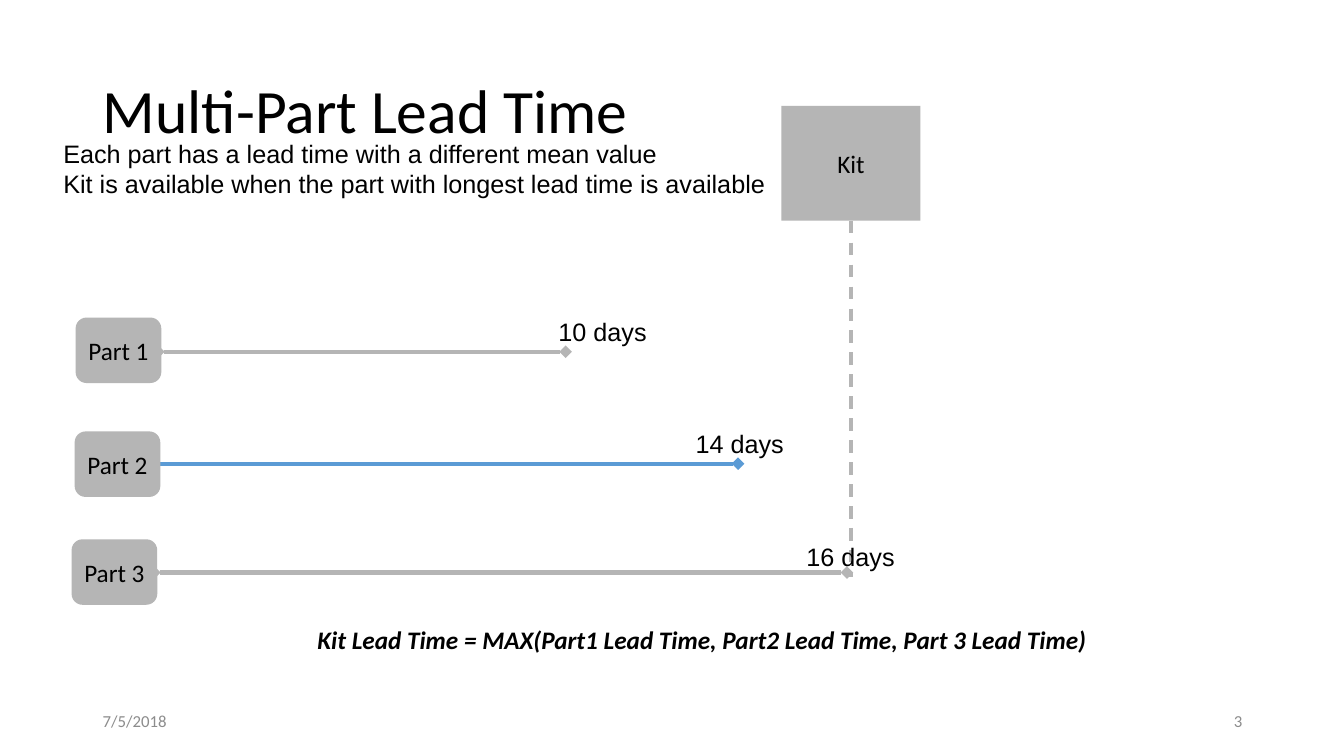
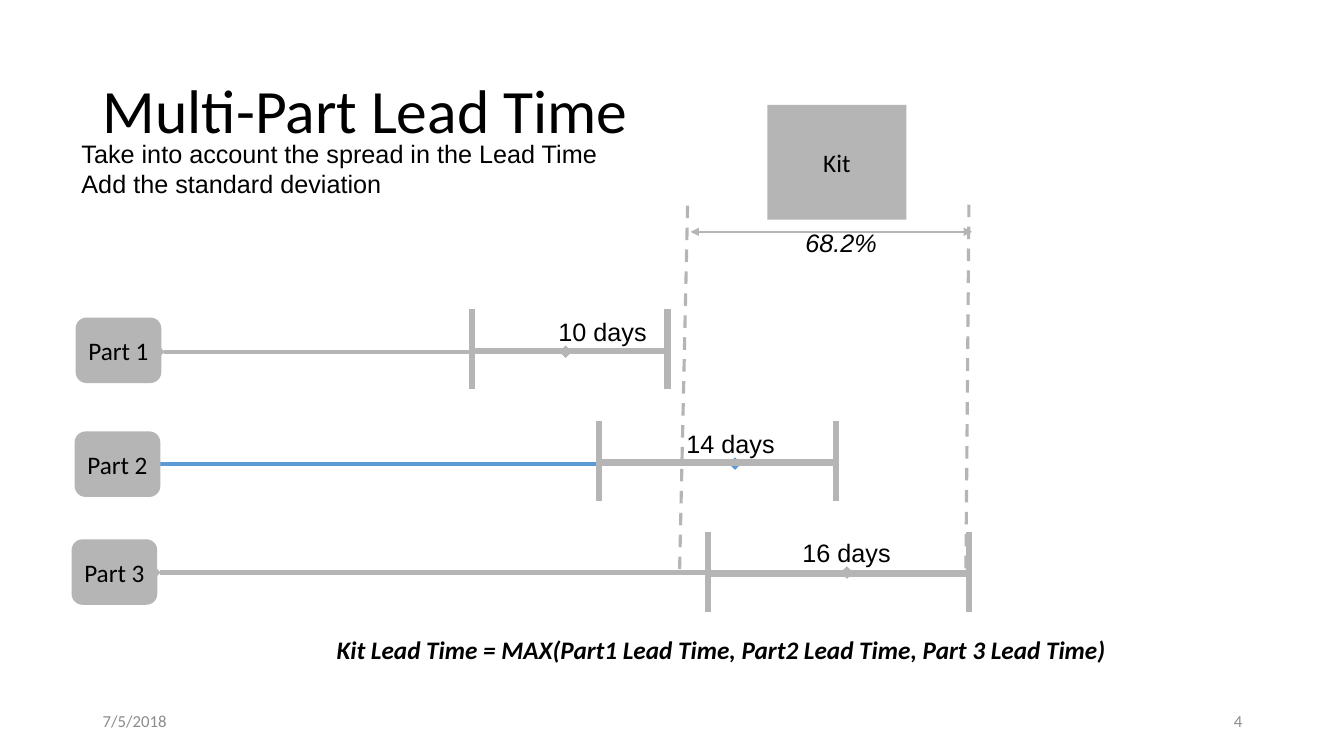
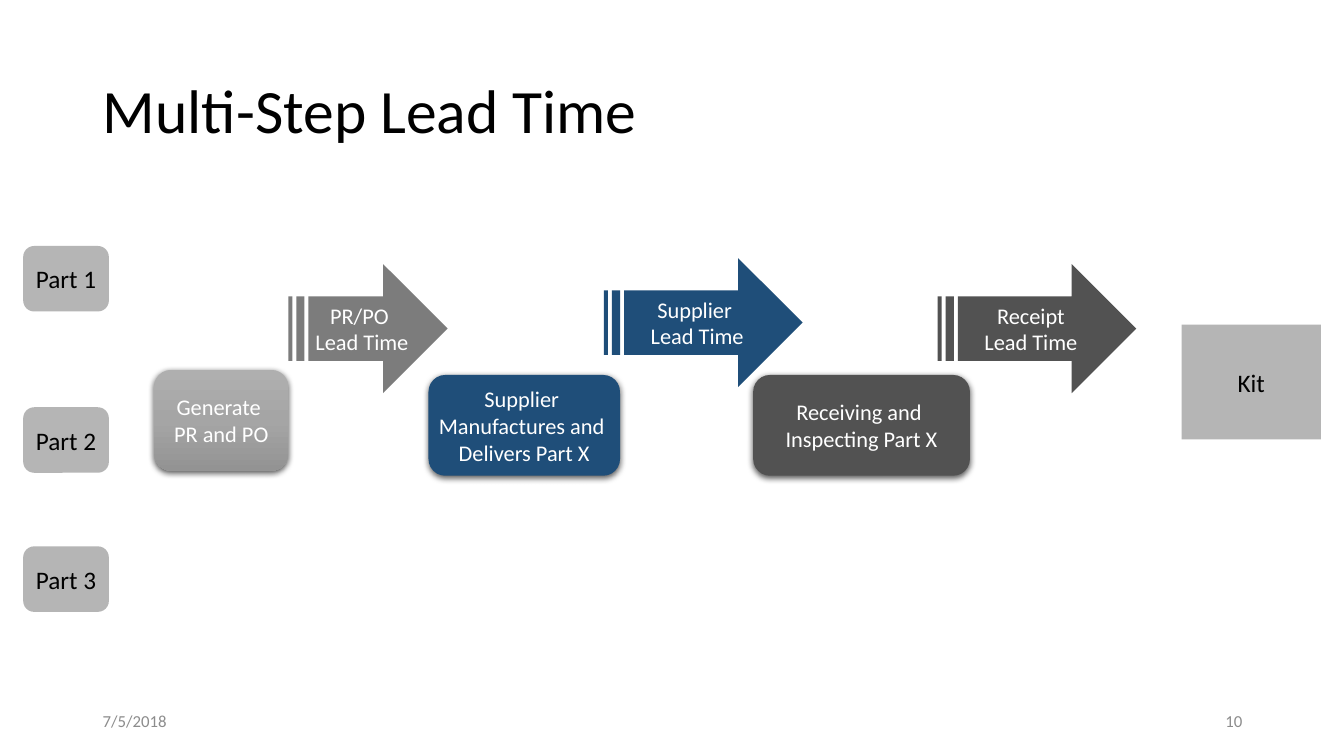
from dataclasses import dataclass

from lxml.etree import SubElement
from pptx import Presentation
from pptx.dml.color import RGBColor
from pptx.enum.dml import MSO_LINE
from pptx.enum.shapes import MSO_CONNECTOR, MSO_SHAPE
from pptx.enum.text import MSO_ANCHOR, MSO_AUTO_SIZE, PP_ALIGN
from pptx.oxml.ns import qn
from pptx.util import Inches, Pt


@dataclass(frozen=True)
class Theme:
    """Colours, fonts and type sizes shared by all slides."""
    black: str = "000000"
    white: str = "FFFFFF"
    gray: str = "B5B5B5"
    blue: str = "5B9BD5"
    navy: str = "1F4E79"
    steel: str = "7C7C7C"
    charcoal: str = "525252"
    footer: str = "8C8C8C"
    silver_gradient: tuple = ((0, "AFAFAF"), (50, "A5A5A5"), (100, "939393"))
    heading_font: str = "Calibri"
    note_font: str = "Arial"
    title_size: int = 44
    body_size: int = 18
    step_size: int = 16
    footer_size: int = 12


THEME = Theme()

# Content. Positions and sizes are inches.
DATE = "7/5/2018"
FORMULA = "Kit Lead Time = MAX(Part1 Lead Time, Part2 Lead Time, Part 3 Lead Time)"
PART_SIZE = (0.85, 0.65)
KIT_SIZE = (1.38, 1.14)
STEP_HEIGHT = 1.0
ARROW_HEIGHT = 1.28
CAP_ABOVE, CAP_BELOW = 0.41, 0.38

TIMELINE_PARTS = [("Part 1", 0.75, 3.15), ("Part 2", 0.74, 4.28), ("Part 3", 0.71, 5.35)]
STEP_PARTS = [("Part 1", 0.23, 2.44), ("Part 2", 0.23, 4.04), ("Part 3", 0.23, 5.42)]

# Lead times: start, end, height of the line, colour, label, label position.
MEAN_LEADS = [
    (1.57, 5.61, 3.49, THEME.gray, "10 days", (5.44, 3.09)),
    (1.53, 7.32, 4.6, THEME.blue, "14 days", (6.8, 4.2)),
    (1.53, 8.4, 5.68, THEME.gray, "16 days", (7.9, 5.32)),
]
SPREAD_LEADS = [
    (1.57, 5.61, 3.49, THEME.gray, "10 days", (5.44, 3.09)),
    (1.53, 7.29, 4.6, THEME.blue, "14 days", (6.71, 4.2)),
    (1.53, 8.4, 5.68, THEME.gray, "16 days", (7.86, 5.28)),
]
# Spreads: low end, high end, height of the bar.
SPREADS = [(4.68, 6.62, 3.48), (5.94, 8.29, 4.59), (7.02, 9.61, 5.69)]

TIMELINES = [
    {
        "title": "Multi-Part Lead Time", "number": "3",
        "kit": (7.75, 1.05),
        "guides": [((8.44, 2.19), (8.44, 5.72))],
        "notes": ["Each part has a lead time with a different mean value",
                  "Kit is available when the part with longest lead time is available"],
        "notes_box": (0.53, 1.32, 7.23, 1.01),
        "leads": MEAN_LEADS, "spreads": [], "formula": (3.05, 6.14),
    },
    {
        "title": "Multi-Part Lead Time", "number": "4",
        "kit": (7.61, 1.04),
        "guides": [((9.61, 2.03), (9.58, 5.68)), ((6.82, 2.04), (6.74, 5.68))],
        "notes": ["Take into account the spread in the Lead Time",
                  "Add the standard deviation"],
        "notes_box": (0.71, 1.32, 5.36, 0.71),
        "leads": SPREAD_LEADS, "spreads": SPREADS, "formula": (3.24, 6.24),
        "interval": ("68.2%", (7.89, 2.21, 0.92, 0.4), (6.85, 2.3), (9.64, 2.3)),
    },
]

# Steps and arrows: lines of text, left, top, width, fill.
STEPS = [
    (["Generate ", "PR and PO"], 1.53, 3.67, 1.33, THEME.silver_gradient),
    (["Supplier ", "Manufactures and ", "Delivers Part X"], 4.25, 3.72, 1.9, THEME.navy),
    (["Receiving and ", "Inspecting Part X"], 7.47, 3.72, 2.15, THEME.charcoal),
]
ARROWS = [
    (["PR/PO ", "Lead Time"], 2.86, 2.62, 1.58, THEME.steel),
    (["Supplier ", "Lead Time"], 5.99, 2.56, 1.97, THEME.navy),
    (["Receipt", "Lead Time"], 9.3, 2.62, 1.97, THEME.charcoal),
]


def inches(values):
    """Convert a row of numbers to lengths."""
    return [Inches(value) for value in values]


def write(frame, lines, size, color=THEME.black, font=THEME.heading_font,
          align=PP_ALIGN.LEFT, bold=False, italic=False):
    """Fill a text frame with one paragraph per line in a single style."""
    frame.text = "\n".join(lines)
    for paragraph in frame.paragraphs:
        paragraph.alignment = align
        paragraph.font.name = font
        paragraph.font.size = Pt(size)
        paragraph.font.color.rgb = RGBColor.from_string(color)
        paragraph.font.bold = bold
        paragraph.font.italic = italic


def add_text(slide, box, lines, size=THEME.body_size, wrap=False,
             anchor=MSO_ANCHOR.TOP, fit=MSO_AUTO_SIZE.SHAPE_TO_FIT_TEXT, **style):
    """Add a text box."""
    frame = slide.shapes.add_textbox(*inches(box)).text_frame
    frame.word_wrap = wrap
    frame.auto_size = fit
    frame.vertical_anchor = anchor
    write(frame, lines, size, **style)


def add_line(shapes, start, end, width, color=THEME.gray, dashed=False, ends=None):
    """Add a straight line, with the same arrowhead at both ends if named."""
    line = shapes.add_connector(MSO_CONNECTOR.STRAIGHT, *inches(start + end))
    line.line.color.rgb = RGBColor.from_string(color)
    line.line.width = Pt(width)
    if dashed:
        line.line.dash_style = MSO_LINE.DASH
    properties = line.element.spPr
    if ends:
        outline = properties.find(qn("a:ln"))
        for tag in ("a:headEnd", "a:tailEnd"):
            SubElement(outline, qn(tag), type=ends)
    SubElement(properties, qn("a:effectLst"))


def paint(shape, fill):
    """Fill a shape with a colour or, from (percent, colour) stops, downwards."""
    if isinstance(fill, str):
        shape.fill.solid()
        shape.fill.fore_color.rgb = RGBColor.from_string(fill)
        return
    shape.fill.gradient()
    shape.fill.gradient_angle = 270
    stops = shape.element.spPr.find(qn("a:gradFill")).find(qn("a:gsLst"))
    stops.clear()
    for percent, color in fill:
        stop = SubElement(stops, qn("a:gs"), pos=str(percent * 1000))
        SubElement(stop, qn("a:srgbClr"), val=color)


def add_shadow(shape):
    """Give a shape a soft shadow below."""
    effects = shape.element.spPr.find(qn("a:effectLst"))
    shadow = SubElement(effects, qn("a:outerShdw"), blurRad=str(Pt(4.5)),
                        dist=str(Pt(1.5)), dir="5400000", algn="ctr", rotWithShape="0")
    color = SubElement(shadow, qn("a:srgbClr"), val=THEME.black)
    SubElement(color, qn("a:alpha"), val="63000")


def add_block(shapes, kind, box, lines, fill=THEME.gray, size=THEME.body_size,
              color=THEME.black):
    """Add a filled shape without outline, holding centred text."""
    block = shapes.add_shape(kind, *inches(box))
    block.shadow.inherit = False
    paint(block, fill)
    block.line.fill.background()
    block.text_frame.word_wrap = False
    block.text_frame.vertical_anchor = MSO_ANCHOR.MIDDLE
    write(block.text_frame, lines, size, color, align=PP_ALIGN.CENTER)
    return block


def add_kit(slide, position):
    """Add the kit square."""
    add_block(slide.shapes, MSO_SHAPE.RECTANGLE, position + KIT_SIZE, ["Kit"])


def add_parts(slide, parts):
    """Add the part labels."""
    for name, left, top in parts:
        add_block(slide.shapes, MSO_SHAPE.ROUNDED_RECTANGLE, (left, top) + PART_SIZE, [name])


def add_slide(presentation, title, number):
    """Add a slide with its title, date and number."""
    slide = presentation.slides.add_slide(presentation.slide_layouts[5])
    heading = slide.shapes.title
    heading.left, heading.top, heading.width, heading.height = inches((0.92, 0.4, 11.5, 1.45))
    heading.text_frame.auto_size = MSO_AUTO_SIZE.NONE
    heading.text_frame.vertical_anchor = MSO_ANCHOR.MIDDLE
    write(heading.text_frame, [title], THEME.title_size)
    heading.text_frame.paragraphs[0].line_spacing = 0.9
    for text, left, align in ((DATE, 0.92, PP_ALIGN.LEFT), (number, 9.42, PP_ALIGN.RIGHT)):
        add_text(slide, (left, 6.95, 3, 0.4), [text], THEME.footer_size, wrap=True,
                 anchor=MSO_ANCHOR.MIDDLE, fit=MSO_AUTO_SIZE.NONE,
                 color=THEME.footer, align=align)
    return slide


def add_spread(slide, low, high, middle):
    """Add a grouped bar with a cap at each end."""
    bar = slide.shapes.add_group_shape().shapes
    add_line(bar, (low, middle), (high, middle), 4.5)
    for end in (low, high):
        add_line(bar, (end, middle + CAP_BELOW), (end, middle - CAP_ABOVE), 4.5)


def build_timeline(presentation, content):
    """Build a slide that compares the lead times of the parts."""
    slide = add_slide(presentation, content["title"], content["number"])
    for start, end in content["guides"]:
        add_line(slide.shapes, start, end, 2.25, dashed=True)
    add_kit(slide, content["kit"])
    for start, end, height, color, label, position in content["leads"]:
        add_line(slide.shapes, (start, height), (end, height), 3, color, ends="diamond")
        add_text(slide, position + (1.09, 0.4), [label], font=THEME.note_font)
    add_text(slide, content["notes_box"], content["notes"], font=THEME.note_font)
    for spread in content["spreads"]:
        add_spread(slide, *spread)
    if "interval" in content:
        label, box, start, end = content["interval"]
        add_line(slide.shapes, start, end, 1, ends="triangle")
        add_text(slide, box, [label], font=THEME.note_font, italic=True)
    add_parts(slide, TIMELINE_PARTS)
    add_text(slide, content["formula"] + (9.58, 0.4), [FORMULA], wrap=True,
             bold=True, italic=True)


def build_steps(presentation):
    """Build the slide that splits lead time into steps."""
    slide = add_slide(presentation, "Multi-Step Lead Time", "10")
    add_kit(slide, (11.72, 3.22))
    flow = slide.shapes.add_group_shape().shapes
    for lines, left, top, width, fill in STEPS:
        step = add_block(flow, MSO_SHAPE.ROUNDED_RECTANGLE, (left, top, width, STEP_HEIGHT),
                         lines, fill, THEME.step_size, THEME.white)
        add_shadow(step)
    for lines, left, top, width, fill in ARROWS:
        add_block(flow, MSO_SHAPE.STRIPED_RIGHT_ARROW, (left, top, width, ARROW_HEIGHT),
                  lines, fill, THEME.step_size, THEME.white)
    add_parts(slide, STEP_PARTS)


def main():
    """Build and save the presentation."""
    presentation = Presentation()
    presentation.slide_width, presentation.slide_height = inches((13.33, 7.5))
    for content in TIMELINES:
        build_timeline(presentation, content)
    build_steps(presentation)
    presentation.save("out.pptx")


main()
